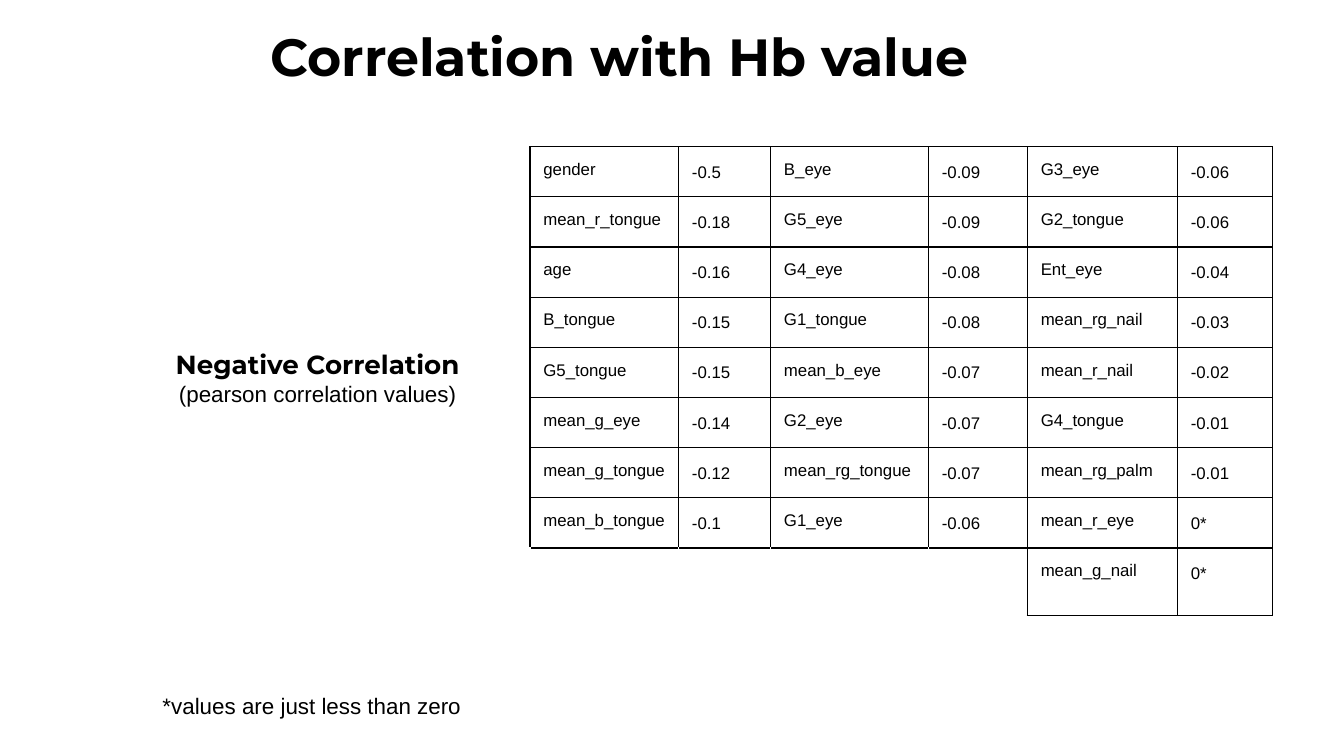
from dataclasses import dataclass

from lxml import etree
from pptx import Presentation
from pptx.dml.color import RGBColor
from pptx.enum.text import MSO_ANCHOR, PP_ALIGN
from pptx.oxml.ns import qn
from pptx.util import Pt

CENTER, LEFT = PP_ALIGN.CENTER, PP_ALIGN.LEFT
TOP, BOTTOM = MSO_ANCHOR.TOP, MSO_ANCHOR.BOTTOM


@dataclass(frozen=True)
class Theme:
    heading_font: str = "Montserrat"
    body_font: str = "Arial"
    ink: str = "000000"
    paper: str = "FFFFFF"
    title_size: float = 28
    subtitle_size: float = 14
    body_size: float = 12
    cell_size: float = 9
    border: float = 0.75
    inset: float = 7.2


THEME = Theme()

TITLE = "Correlation with Hb value"
SUBTITLE = "Negative Correlation"
METHOD = "(pearson correlation values)"
FOOTNOTE = "*values are just less than zero"

# Each group fills a name column and a value column, from the top down.
CORRELATION_GROUPS = [
    [("gender", "-0.5"), ("mean_r_tongue", "-0.18"), ("age", "-0.16"),
     ("B_tongue", "-0.15"), ("G5_tongue", "-0.15"), ("mean_g_eye", "-0.14"),
     ("mean_g_tongue", "-0.12"), ("mean_b_tongue", "-0.1")],
    [("B_eye", "-0.09"), ("G5_eye", "-0.09"), ("G4_eye", "-0.08"),
     ("G1_tongue", "-0.08"), ("mean_b_eye", "-0.07"), ("G2_eye", "-0.07"),
     ("mean_rg_tongue", "-0.07"), ("G1_eye", "-0.06")],
    [("G3_eye", "-0.06"), ("G2_tongue", "-0.06"), ("Ent_eye", "-0.04"),
     ("mean_rg_nail", "-0.03"), ("mean_r_nail", "-0.02"), ("G4_tongue", "-0.01"),
     ("mean_rg_palm", "-0.01"), ("mean_r_eye", "0*"), ("mean_g_nail", "0*")],
]

TABLE_LEFT, TABLE_TOP = 283.9, 78.6
COLUMN_WIDTHS = [79.6, 49.3, 84.6, 53, 80.4, 50.9]
ROW_HEIGHT, LAST_ROW_HEIGHT = 26.8, 36


def add_run(paragraph, text, font, size, bold=False):
    run = paragraph.add_run()
    run.text = text
    run.font.name = font
    run.font.size = Pt(size)
    run.font.bold = bold
    run.font.color.rgb = RGBColor.from_string(THEME.ink)


def add_text(slide, box, lines, align=LEFT, anchor=TOP):
    """Add a text box; each line is (text, font, size, bold)."""
    frame = slide.shapes.add_textbox(*map(Pt, box)).text_frame
    frame.word_wrap = True
    frame.vertical_anchor = anchor
    frame.margin_left = frame.margin_right = Pt(THEME.inset)
    frame.margin_top = frame.margin_bottom = Pt(THEME.inset)
    for index, line in enumerate(lines):
        paragraph = frame.paragraphs[0] if index == 0 else frame.add_paragraph()
        paragraph.alignment = align
        add_run(paragraph, *line)


def set_borders(cell, colors):
    """Draw the cell's borders; colors maps the sides L, R, T, B to colours."""
    properties = cell._tc.get_or_add_tcPr()
    for side, color in colors.items():
        line = etree.SubElement(properties, qn(f"a:ln{side}"), w=str(Pt(THEME.border)))
        fill = etree.SubElement(line, qn("a:solidFill"))
        etree.SubElement(fill, qn("a:srgbClr"), val=color)


def add_correlation_table(slide):
    row_count = max(map(len, CORRELATION_GROUPS))
    heights = [ROW_HEIGHT] * (row_count - 1) + [LAST_ROW_HEIGHT]
    table = slide.shapes.add_table(
        row_count, len(COLUMN_WIDTHS), Pt(TABLE_LEFT), Pt(TABLE_TOP),
        Pt(sum(COLUMN_WIDTHS)), Pt(sum(heights))).table
    table.first_row = table.horz_banding = False
    for column, width in zip(table.columns, COLUMN_WIDTHS):
        column.width = Pt(width)
    for row, height in zip(table.rows, heights):
        row.height = Pt(height)

    last_empty_column = 2 * len(CORRELATION_GROUPS) - 3
    for row in range(row_count):
        for column in range(len(COLUMN_WIDTHS)):
            cell = table.cell(row, column)
            cell.margin_left = cell.margin_right = Pt(THEME.inset)
            cell.margin_top = cell.margin_bottom = Pt(THEME.inset)
            borders = dict.fromkeys("LRTB", THEME.ink)
            group_index, part = divmod(column, 2)
            group = CORRELATION_GROUPS[group_index]
            if row < len(group):
                paragraph = cell.text_frame.paragraphs[0]
                if part == 1:
                    paragraph.line_spacing = 1.15
                add_run(paragraph, group[row][part], THEME.body_font, THEME.cell_size)
            else:
                borders.update(L=THEME.paper, B=THEME.paper)
                if column < last_empty_column:
                    borders["R"] = THEME.paper
            set_borders(cell, borders)
            cell.fill.background()


def main():
    deck = Presentation()
    deck.slide_width, deck.slide_height = Pt(720), Pt(405)
    slide = deck.slides.add_slide(deck.slide_layouts[6])

    add_text(slide, (28, 5.8, 607.7, 48.2),
             [(TITLE, THEME.heading_font, THEME.title_size, True)], CENTER)
    add_text(slide, (28, 179.3, 284.4, 46),
             [(SUBTITLE, THEME.heading_font, THEME.subtitle_size, True),
              (METHOD, THEME.body_font, THEME.body_size)], CENTER, BOTTOM)
    add_correlation_table(slide)
    add_text(slide, (80, 363.6, 203.8, 26.6),
             [(FOOTNOTE, THEME.body_font, THEME.body_size)])
    deck.save("out.pptx")


if __name__ == "__main__":
    main()
